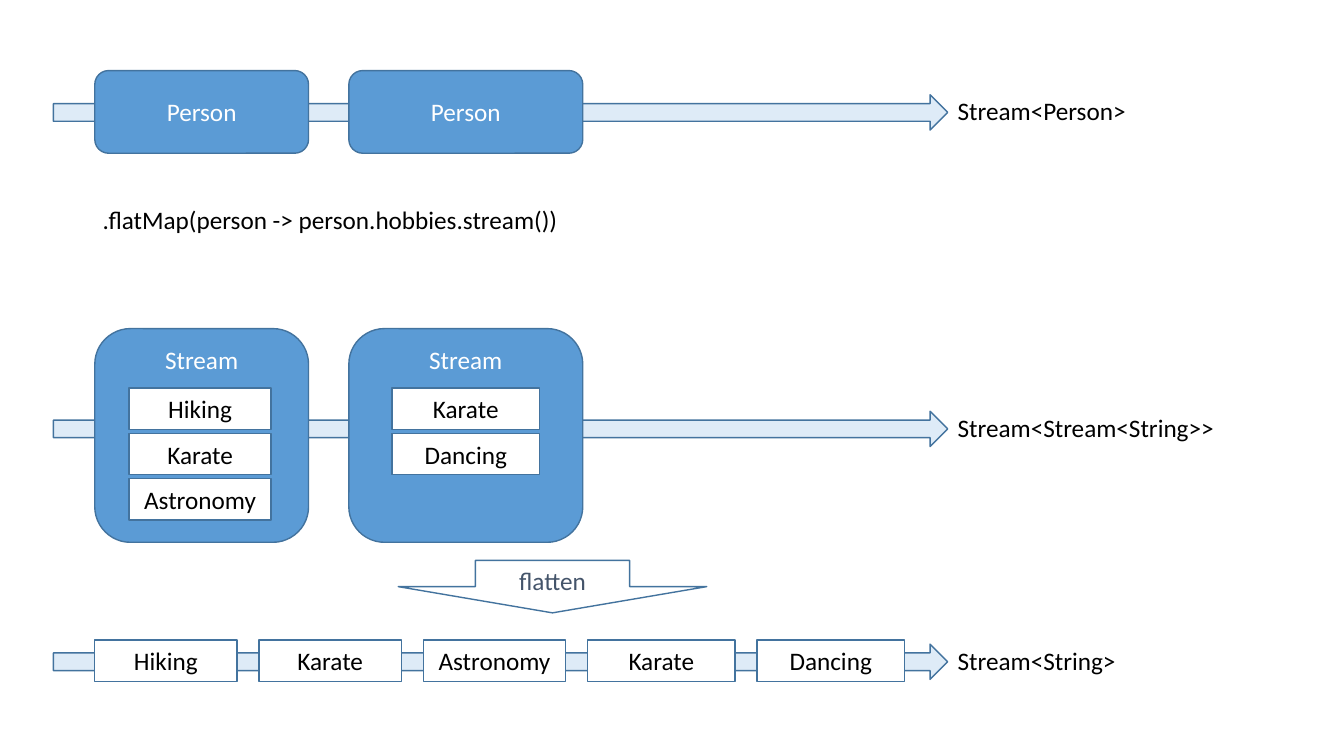
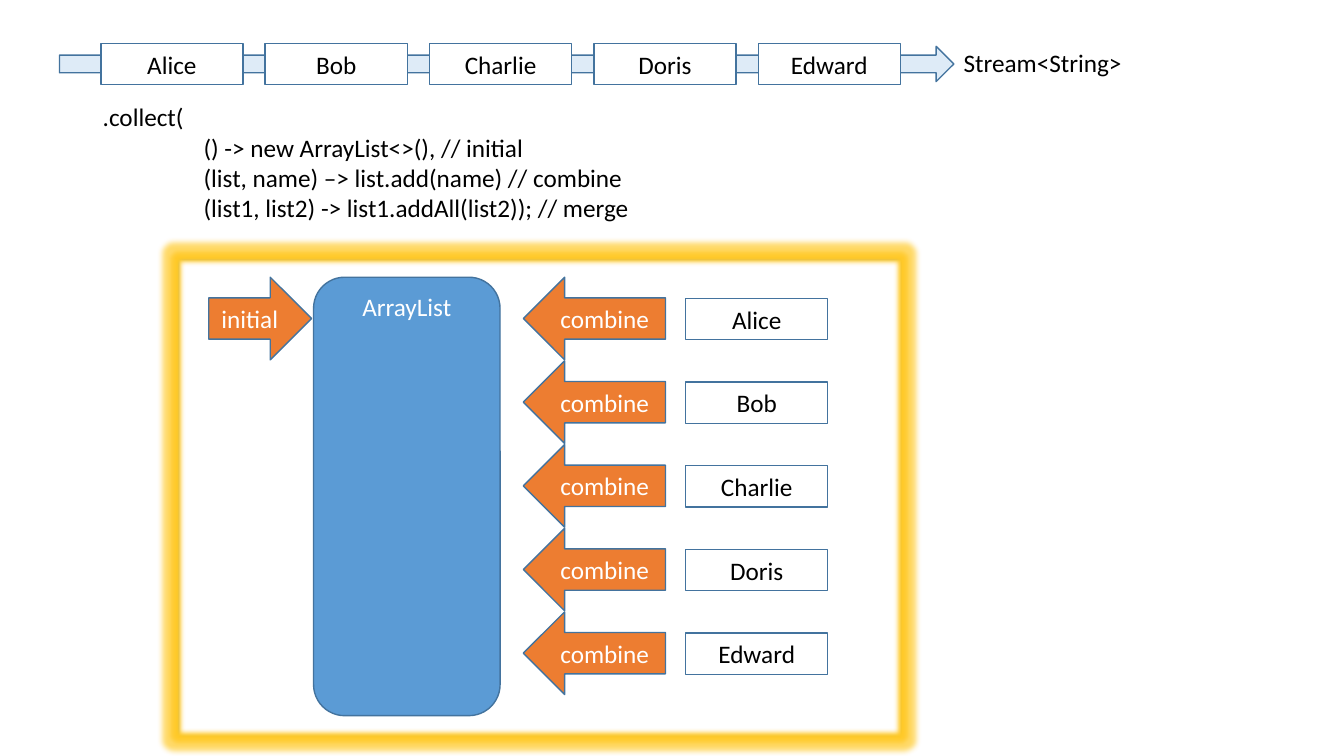
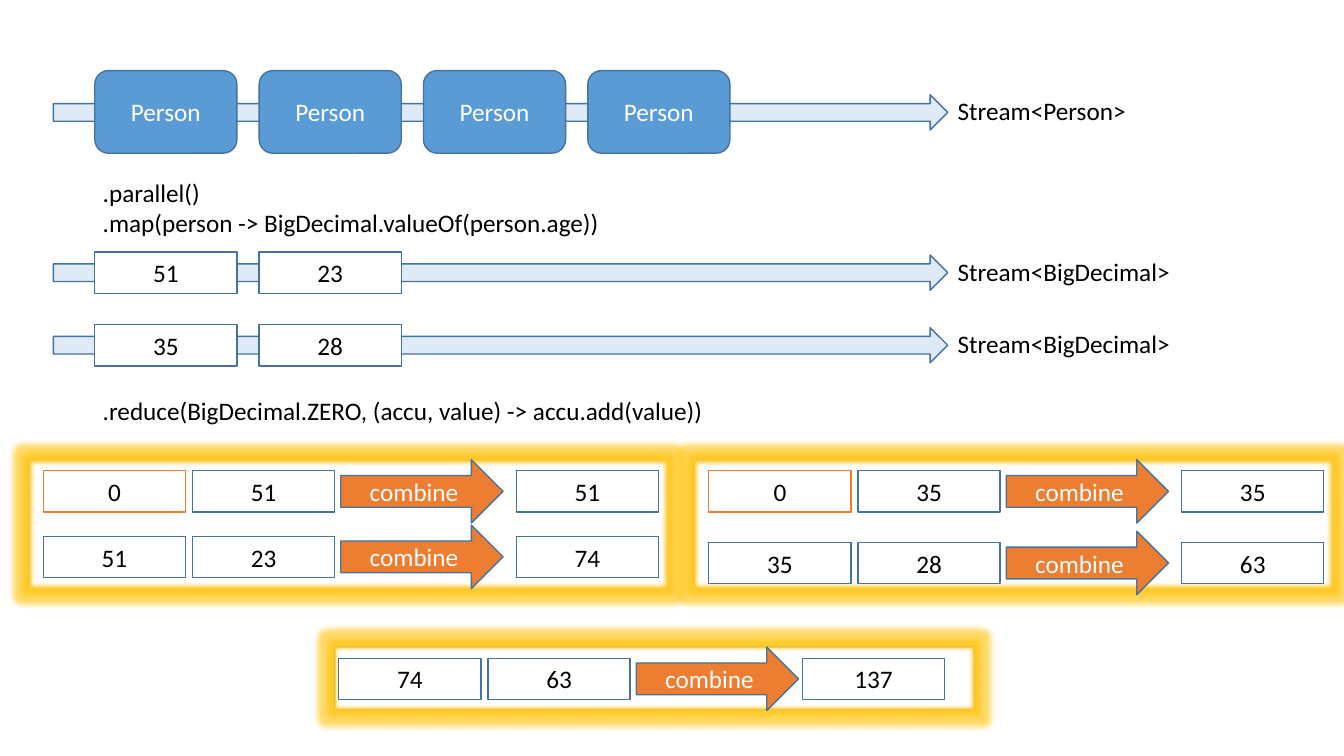
from lxml.etree import SubElement
from pptx import Presentation
from pptx.dml.color import RGBColor
from pptx.enum.shapes import MSO_SHAPE
from pptx.enum.text import MSO_ANCHOR, MSO_AUTO_SIZE, PP_ALIGN
from pptx.oxml.ns import qn
from pptx.util import Inches, Pt

COLORS = {
    "white": "FFFFFF", "black": "000000", "blue": "5B9BD5", "edge": "43739E",
    "pale": "DEEBF7", "orange": "ED7D31", "slate": "44546A", "gold": "FFC000",
}
# Each look holds fill, line and text colour.
LOOKS = {
    "box": ("white", "edge", "black"),
    "start": ("white", "orange", "black"),
    "item": ("blue", "edge", "white"),
    "flow": ("pale", "edge", "black"),
    "step": ("orange", "edge", "white"),
    "flat": ("white", "edge", "slate"),
}
FONT = {"name": "Calibri", "size": Pt(18)}
BOX_W, BOX_H, GAP = 1.41, 0.41, 0.22
WIDE_W = 1.46
FLOW_W, FLOW_X = 8.87, 0.53
ROW_X = 0.94
CODE_X = 0.92


def rgb(name):
    """Return the named colour."""
    return RGBColor.from_string(COLORS[name])


def style(par, color):
    """Set the shared font and a colour on a paragraph."""
    for key, value in FONT.items():
        setattr(par.font, key, value)
    par.font.color.rgb = rgb(color)


def draw(slide, kind, left, top, width, height, text="", look="box",
         anchor=MSO_ANCHOR.MIDDLE):
    """Add a preset shape with centred text."""
    fill, line, color = LOOKS[look]
    shape = slide.shapes.add_shape(
        kind, Inches(left), Inches(top), Inches(width), Inches(height))
    shape.shadow.inherit = False
    shape.fill.solid()
    shape.fill.fore_color.rgb = rgb(fill)
    shape.line.color.rgb = rgb(line)
    shape.line.width = Pt(1)
    if text:
        frame = shape.text_frame
        frame.vertical_anchor = anchor
        frame.text = text
        par = frame.paragraphs[0]
        par.alignment = PP_ALIGN.CENTER
        style(par, color)
    return shape


def box(slide, left, top, text, width=BOX_W, look="box"):
    """Add a value box."""
    draw(slide, MSO_SHAPE.RECTANGLE, left, top, width, BOX_H, text, look)


def item(slide, left, top, width, height, text, anchor=MSO_ANCHOR.MIDDLE):
    """Add a rounded blue object."""
    draw(slide, MSO_SHAPE.ROUNDED_RECTANGLE, left, top, width, height, text,
         "item", anchor)


def glow(slide, left, top, width, height):
    """Add a white panel with a soft gold rim."""
    panel = draw(slide, MSO_SHAPE.RECTANGLE, left, top, width, height)
    effects = panel._element.spPr.find(qn("a:effectLst"))
    halo = SubElement(effects, qn("a:glow"), rad=str(Pt(8)))
    tint = SubElement(halo, qn("a:srgbClr"), val=COLORS["gold"])
    SubElement(tint, qn("a:alpha"), val="60000")
    SubElement(effects, qn("a:softEdge"), rad=str(Pt(2.5)))


def note(slide, left, top, width, lines, indent=0):
    """Add lines of text, with all but the first indented."""
    area = slide.shapes.add_textbox(
        Inches(left), Inches(top), Inches(width),
        Inches(0.1 + 0.3 * len(lines)))
    frame = area.text_frame
    frame.word_wrap = True
    frame.auto_size = MSO_AUTO_SIZE.SHAPE_TO_FIT_TEXT
    frame.text = "\n".join(lines)
    for index, par in enumerate(frame.paragraphs):
        style(par, "black")
        if index and indent:
            par._p.get_or_add_pPr().set("marL", str(Inches(indent)))


def code(slide, top, *lines, indent=0):
    """Add a code sample."""
    note(slide, CODE_X, top, 9.11, lines, indent)


def flow(slide, top, label, left=FLOW_X, width=2.34):
    """Add a stream arrow with its type at the tip."""
    draw(slide, MSO_SHAPE.RIGHT_ARROW, left, top, FLOW_W, 0.35, look="flow")
    note(slide, left + FLOW_W, top - 0.04, width, [label])


def row(slide, left, top, texts, wide=()):
    """Add evenly spaced boxes, then wider ones."""
    cells = [(text, BOX_W) for text in texts]
    cells += [(text, WIDE_W) for text in wide]
    for text, width in cells:
        box(slide, left, top, text, width)
        left += width + GAP


def stack(slide, left, top, texts, width=BOX_W):
    """Add boxes one below another."""
    for index, text in enumerate(texts):
        box(slide, left, top + 0.45 * index, text, width)


def merge(slide, left, top, first, second, total, look="box", reach=4.69):
    """Add two values, a combine arrow and their result."""
    box(slide, left, top, first, look=look)
    box(slide, left + 1.48, top, second)
    box(slide, left + reach, top, total)
    draw(slide, MSO_SHAPE.RIGHT_ARROW, left + 2.95, top - 0.11, 1.61, 0.63,
         "combine", "step")


def flatten(slide):
    """Show flatMap on a stream of people."""
    parts = [(ROW_X, 2.12), (3.46, 2.32)]
    flow(slide, 0.94, "Stream<Person>")
    flow(slide, 4.08, "Stream<Stream<String>>", width=3.06)
    for left, width in parts:
        item(slide, left, 0.7, width, 0.82, "Person")
        item(slide, left, 3.26, width, 2.12, "Stream", MSO_ANCHOR.TOP)
    code(slide, 1.98, ".flatMap(person -> person.hobbies.stream())")
    first, second = ["Hiking", "Karate", "Astronomy"], ["Karate", "Dancing"]
    stack(slide, 1.28, 3.85, first)
    stack(slide, 3.89, 3.85, second, WIDE_W)
    draw(slide, MSO_SHAPE.DOWN_ARROW, 3.95, 5.56, 3.06, 0.52, "flatten",
         "flat")
    flow(slide, 6.39, "Stream<String>")
    row(slide, ROW_X, 6.35, first, second)


def collect(slide):
    """Show collect into a list."""
    names = ["Alice", "Bob", "Charlie", "Doris", "Edward"]
    glow(slide, 1.77, 2.57, 7.16, 4.73)
    flow(slide, 0.46, "Stream<String>", 0.59)
    row(slide, 1, 0.43, names)
    code(slide, 0.96, ".collect(", "() -> new ArrayList<>(), // initial",
         "(list, name) –> list.add(name) // combine",
         "(list1, list2) -> list1.addAll(list2)); // merge", indent=1)
    draw(slide, MSO_SHAPE.RIGHT_ARROW, 2.07, 2.75, 1.02, 0.82, "initial",
         "step")
    item(slide, 3.11, 2.75, 1.85, 4.35, "ArrayList", MSO_ANCHOR.TOP)
    for index, name in enumerate(names):
        top = 2.75 + 0.83 * index
        draw(slide, MSO_SHAPE.LEFT_ARROW, 5.19, top, BOX_W, 0.82, "combine",
             "step")
        box(slide, 6.8, top + 0.21, name)


def reduce(slide):
    """Show a parallel reduce in two halves."""
    glow(slide, 3.32, 6.41, 6.34, 0.63)
    for left in (6.88, 0.28):
        glow(slide, left, 4.56, 6.34, 1.28)
    flow(slide, 0.94, "Stream<Person>")
    for index in range(4):
        item(slide, ROW_X + index * (BOX_W + GAP), 0.7, BOX_W, 0.82, "Person")
    code(slide, 1.71, ".parallel()",
         ".map(person -> BigDecimal.valueOf(person.age))")
    for top, ages in ((2.53, ["51", "23"]), (3.25, ["35", "28"])):
        flow(slide, top, "Stream<BigDecimal>")
        row(slide, ROW_X, top - 0.03, ages)
    code(slide, 3.87,
         ".reduce(BigDecimal.ZERO, (accu, value) -> accu.add(value))")
    halves = [(0.43, 5.32, "51", "23", "74"), (7.03, 5.38, "35", "28", "63")]
    for left, top, first, second, total in halves:
        merge(slide, left, 4.67, "0", first, first, "start")
        merge(slide, left, top, first, second, total)
    merge(slide, 3.36, 6.53, "74", "63", "137", reach=4.6)


def main():
    """Build and save the deck."""
    deck = Presentation()
    deck.slide_width, deck.slide_height = Inches(13.33), Inches(7.5)
    for build in (flatten, collect, reduce):
        build(deck.slides.add_slide(deck.slide_layouts[6]))
    deck.save("out.pptx")


main()
